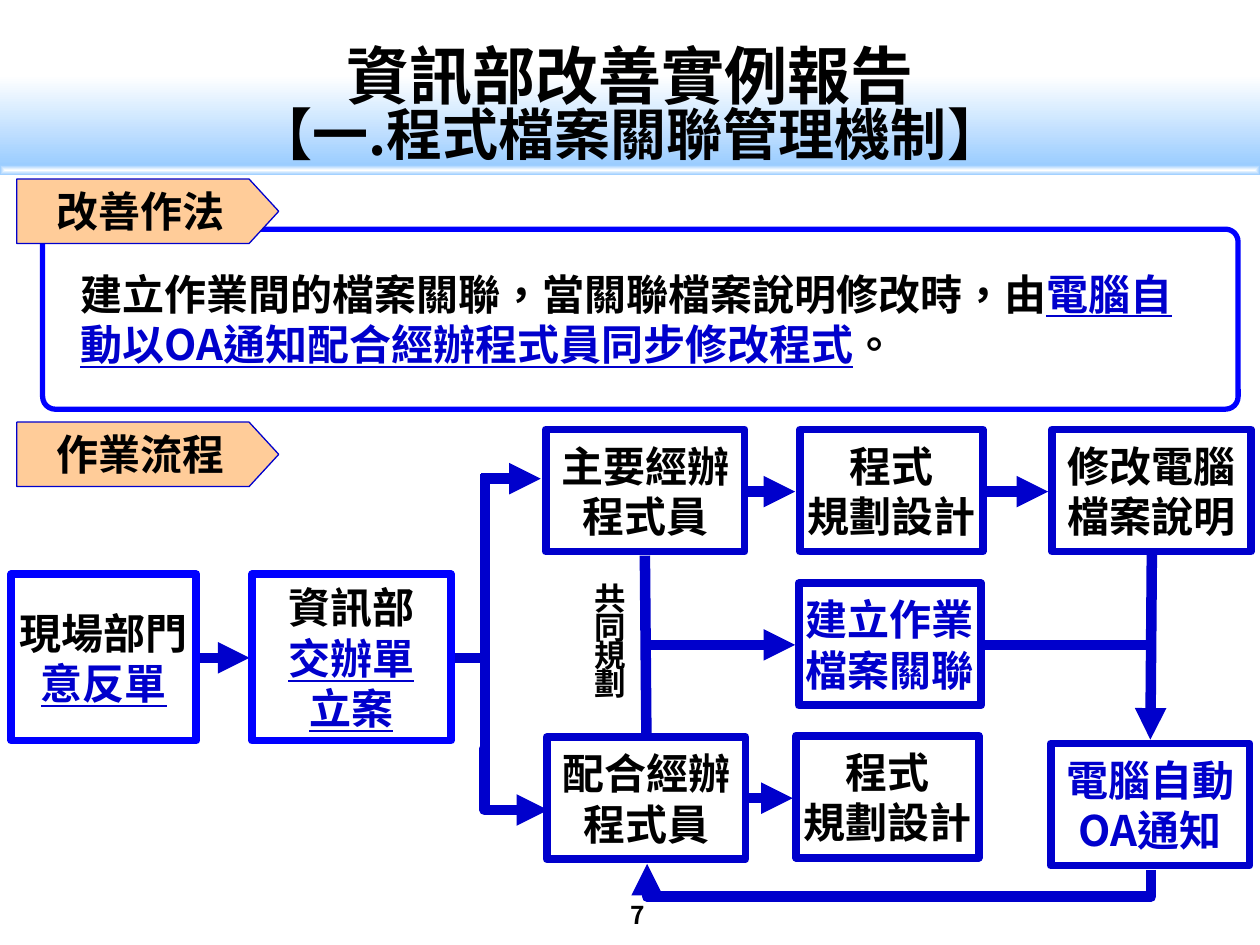
from dataclasses import dataclass

import pptx
import pptx.dml.color
import pptx.enum.lang
import pptx.enum.shapes
import pptx.enum.text
import pptx.oxml
import pptx.oxml.ns
import pptx.util
from pptx.util import Cm

HUES = {"black": "000000", "navy": "0000CC", "blue": "0000FF",
        "peach": "FFCC99", "sky": "99CCFF", "white": "FFFFFF"}
SANS = "Noto Sans CJK SC"
SERIF = "Times New Roman"
KIND = pptx.enum.shapes.MSO_SHAPE
LINK = pptx.enum.shapes.MSO_CONNECTOR
MID = pptx.enum.text.MSO_ANCHOR.MIDDLE
TOP = pptx.enum.text.MSO_ANCHOR.TOP
WIDE, THIN, HIGH = 4.01, 3.68, 2.46


@dataclass
class Span:
    text: str
    hue: str = "black"
    under: bool = False
    face: str = SANS


@dataclass
class Box:
    left: float
    top: float
    width: float
    lines: list[list[Span]]
    height: float = HIGH
    edge: str = "navy"


@dataclass
class Wire:
    start: tuple[float, float]
    end: tuple[float, float]
    arrow: bool = True


TASKS = [
    Box(0.23, 11.58, 3.73, [[Span("現場部門")], [Span("意反單", "navy", True)]], 3.35, "blue"),
    Box(5.08, 11.58, WIDE, [[Span("資訊部")], [Span("交辦單", "navy", True)],
                            [Span("立案", "navy", True)]], 3.35, "blue"),
    Box(11, 8.66, WIDE, [[Span("主要經辦程式員", face=SERIF)]]),
    Box(16.13, 8.66, THIN, [[Span("程式")], [Span("規劃設計")]]),
    Box(21.21, 8.66, WIDE, [[Span("修改電腦檔案", face=SERIF), Span("說明")]]),
    Box(16.1, 11.76, THIN, [[Span("建立作業檔案關聯", "navy")]]),
    Box(11.02, 14.86, WIDE, [[Span("配合經辦程式員", face=SERIF)]]),
    Box(16.05, 14.83, THIN, [[Span("程式")], [Span("規劃設計")]]),
    Box(21.18, 14.99, WIDE, [[Span("電腦自動OA通知", "navy")]]),
]

WIRES = [
    Wire((13.03, 14.78), (13, 11.2), False),
    Wire((15.05, 9.91), (16.03, 9.91)),
    Wire((19.86, 9.91), (21.13, 9.91)),
    Wire((15.07, 16.09), (15.98, 16.09)),
    Wire((23.22, 11.15), (23.19, 14.91)),
    Wire((3.94, 13.26), (5.03, 13.26)),
    Wire((9.7, 9.65), (10.9, 9.65)),
    Wire((9.78, 15.32), (9.78, 9.55), False),
    Wire((9.14, 13.26), (9.88, 13.26), False),
    Wire((13, 13), (16.03, 13)),
    Wire((19.86, 13), (23.24, 13), False),
]


def tint(hue: str) -> pptx.dml.color.RGBColor:
    return pptx.dml.color.RGBColor.from_string(HUES[hue])


def node(parent, tag: str, **attrs: str):
    item = pptx.oxml.parse_xml(f'<{tag} {pptx.oxml.ns.nsdecls("a")}/>')
    for key, val in attrs.items():
        item.set(key, val)
    parent.append(item)
    return item


def write(shape, lines: list[list[Span]], size: float, align="CENTER",
          anchor=TOP, pad: bool = True, wrap: bool = True, gap: float = 1) -> None:
    frame = shape.text_frame
    frame.auto_size = pptx.enum.text.MSO_AUTO_SIZE.NONE
    frame.word_wrap = wrap
    frame.vertical_anchor = anchor
    if not pad:
        frame.margin_left = frame.margin_right = 0
        frame.margin_top = frame.margin_bottom = 0
    for num, line in enumerate(lines):
        para = frame.add_paragraph() if num else frame.paragraphs[0]
        para.alignment = getattr(pptx.enum.text.PP_ALIGN, align)
        para.line_spacing = gap
        for span in line:
            run = para.add_run()
            run.text = span.text
            font = run.font
            font.size = pptx.util.Pt(size)
            font.bold = True
            font.underline = span.under
            font.color.rgb = tint(span.hue)
            font.name = span.face
            font.language_id = pptx.enum.lang.MSO_LANGUAGE_ID.TRADITIONAL_CHINESE
            node(run._r.get_or_add_rPr(), "a:ea", typeface=SANS)


def draw(slide, kind, area: tuple, edge: str = "", weight: float = 1, fill: str = ""):
    shape = slide.shapes.add_shape(kind, *map(Cm, area))
    shape.shadow.inherit = False
    if fill:
        shape.fill.solid()
        shape.fill.fore_color.rgb = tint(fill)
    else:
        shape.fill.background()
    if edge:
        shape.line.color.rgb = tint(edge)
        shape.line.width = pptx.util.Pt(weight)
    else:
        shape.line.fill.background()
    return shape


def band(slide, top: float, height: float):
    """Full-width strip fading downwards from white to sky."""
    shape = draw(slide, KIND.RECTANGLE, (0, top, 25.4, height))
    shape.fill.gradient()
    shape.fill.gradient_angle = 270
    for stop, hue in zip(shape.fill.gradient_stops, ("white", "sky")):
        stop.color.rgb = tint(hue)
    return shape


def label(slide, area: tuple, lines: list[list[Span]], size: float, **opts) -> None:
    write(slide.shapes.add_textbox(*map(Cm, area)), lines, size, **opts)


def join(slide, wire: Wire, kind=LINK.STRAIGHT):
    line = slide.shapes.add_connector(kind, *map(Cm, wire.start + wire.end))
    line.line.color.rgb = tint("navy")
    line.line.width = pptx.util.Pt(6)
    if wire.arrow:
        node(line.line._get_or_add_ln(), "a:tailEnd", type="triangle")
    node(line._element.spPr, "a:effectLst")
    return line


def bend(line, ratio: float) -> None:
    """Place the elbow at a ratio of the connector's width."""
    geom = line._element.spPr.find(pptx.oxml.ns.qn("a:prstGeom"))
    for old in list(geom):
        geom.remove(old)
    node(node(geom, "a:avLst"), "a:gd", name="adj1", fmla=f"val {round(ratio * 100000)}")


def main() -> None:
    deck = pptx.Presentation()
    deck.slide_width, deck.slide_height = Cm(25.4), Cm(19.05)
    slide = deck.slides.add_slide(deck.slide_layouts[5])

    band(slide, 1.52, 1.85)
    rim = band(slide, 3.33, 0.2)
    grad = rim._element.spPr.find(pptx.oxml.ns.qn("a:gradFill"))
    grad.remove(grad.find(pptx.oxml.ns.qn("a:lin")))
    node(node(grad, "a:path", path="shape"), "a:fillToRect",
         l="50000", t="50000", r="50000", b="50000")

    head = slide.shapes.title
    head.left, head.top, head.width, head.height = map(Cm, (0, 0.74, 25.4, 1.55))
    write(head, [[Span("資訊部改善實例報告")]], 36, pad=False)
    tree = slide.shapes._spTree
    tree.remove(head._element)
    tree.append(head._element)
    label(slide, (0, 2.01, 25.4, 1.35), [[Span("【一.程式檔案關聯管理機制】")]], 32, pad=False)
    label(slide, (11.66, 18.14, 2.39, 0.61), [[Span("7")]], 14, anchor=MID, pad=False)

    frame = draw(slide, KIND.ROUNDED_RECTANGLE, (0.86, 4.62, 24.1, 3.63), "blue", 3)
    frame.adjustments[0] = 0.07
    for top, text in ((3.61, "改善作法"), (8.51, "作業流程")):
        tag = draw(slide, KIND.PENTAGON, (0.34, top, 5.28, 1.3), "navy", 0.75, "peach")
        tag.adjustments[0] = 0.46
        write(tag, [[Span(text)]], 24)
    label(slide, (1.37, 5.28, 22.94, 2.29), [[
        Span("建立作業間的檔案關聯，當關聯檔案說明", face=SERIF), Span("修改時，由"),
        Span("電腦自動以OA通知配合經辦程式員同步修改程式", "navy", True), Span("。"),
    ]], 24, align="LEFT")

    for wire in WIRES:
        join(slide, wire)
    bend(join(slide, Wire((9.78, 15.09), (11.05, 16.33)), LINK.ELBOW), -0.01)
    # The return line is laid out upright, then turned to run below the boxes.
    back = join(slide, Wire((18.06, 22.56), (18.19, 12.4)), LINK.ELBOW)
    back._element.spPr.find(pptx.oxml.ns.qn("a:xfrm")).set("rot", "16200000")
    bend(back, -4.1)

    for task in TASKS:
        area = (task.left, task.top, task.width, task.height)
        shape = draw(slide, KIND.RECTANGLE, area, task.edge, 4.5)
        write(shape, task.lines, 24, anchor=MID, pad=False)
    label(slide, (11.73, 11.73, 1.14, 2.54), [[Span(sign, face=SERIF)] for sign in "共同規劃"],
          18, align="LEFT", wrap=False, gap=0.75)
    deck.save("out.pptx")


if __name__ == "__main__":
    main()
